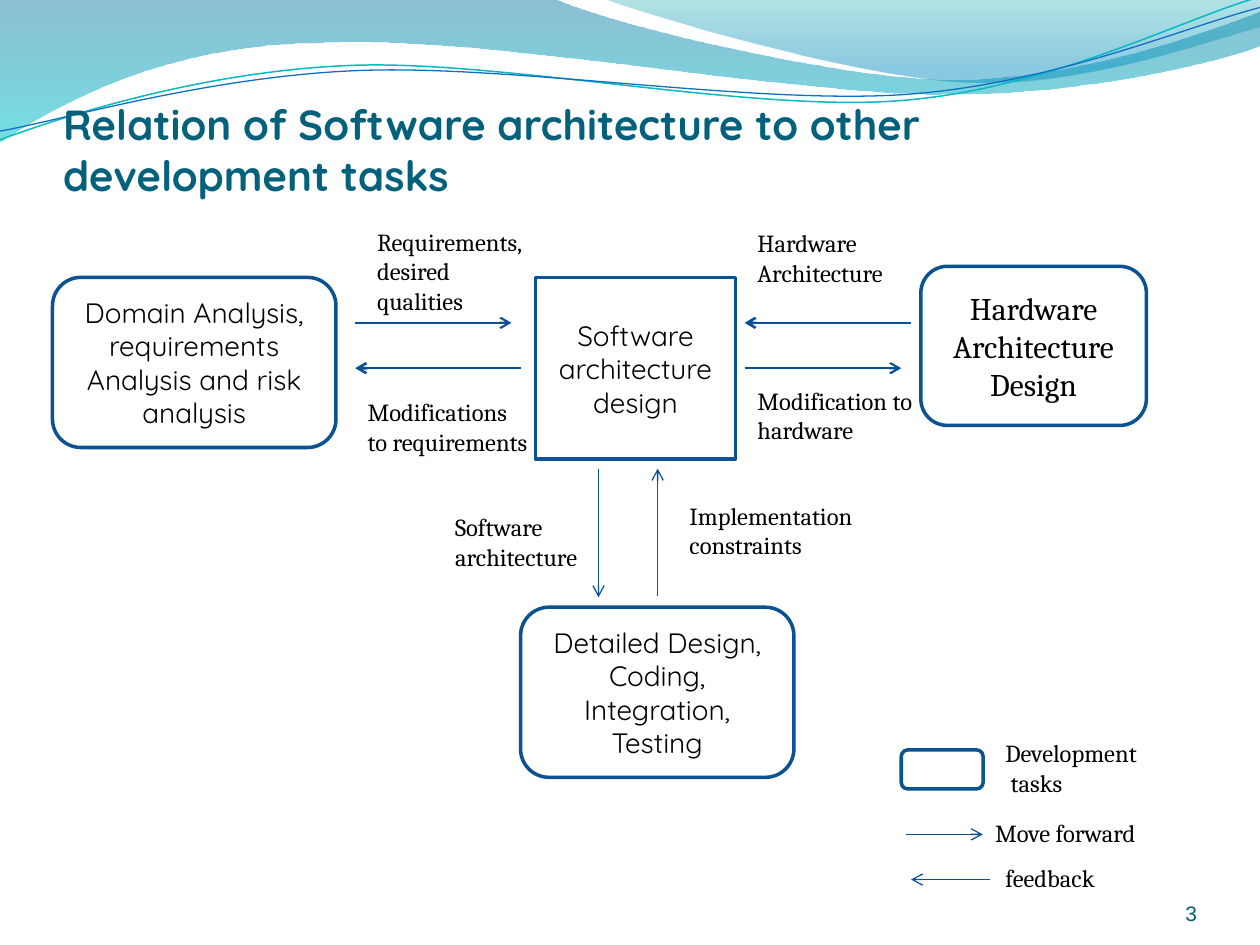
from lxml import etree
from pptx import Presentation
from pptx.dml.color import RGBColor
from pptx.enum.shapes import MSO_CONNECTOR, MSO_SHAPE
from pptx.enum.text import MSO_ANCHOR, MSO_AUTO_SIZE, PP_ALIGN
from pptx.oxml.ns import qn
from pptx.util import Pt

RECT, ROUND = MSO_SHAPE.RECTANGLE, MSO_SHAPE.ROUNDED_RECTANGLE
STRAIGHT = MSO_CONNECTOR.STRAIGHT
TOP, MIDDLE, BOTTOM = MSO_ANCHOR.TOP, MSO_ANCHOR.MIDDLE, MSO_ANCHOR.BOTTOM
LEFT, CENTER, RIGHT = PP_ALIGN.LEFT, PP_ALIGN.CENTER, PP_ALIGN.RIGHT

TITLE_COLOR = RGBColor(0x04, 0x61, 0x7B)
NUMBER_COLOR = RGBColor(0x04, 0x5D, 0x75)
BLACK = RGBColor(0, 0, 0)
BOX_LINE = RGBColor(0x0B, 0x52, 0x92)
ARROW_LINE = RGBColor(0x09, 0x52, 0x95)

TITLE = "Relation of Software architecture to other development tasks"

# Header waves: start, then segments (one point = line, three = Bezier curve)
WAVES = [
    ((0, -0.7), [[(316.8, -0.7)],
                 [(342.7, 12.2), (478.1, 45.4), (545.8, 45.4)],
                 [(614.2, 45.4), (689.8, 18.7), (720, 6.5)],
                 [(720.7, 25.9)],
                 [(707.8, 31.7), (626.4, 54.7), (537.1, 54)],
                 [(447.8, 54), (275, 20.2), (185, 24.5)],
                 [(92.9, 25.2), (33.1, 59.8), (-0.7, 81.4)]],
     [(0, RGBColor(0x00, 0x74, 0xA1), 45), (1, RGBColor(0x00, 0xC6, 0xCF), 55)]),
    ((344.9, -0.7), [[(366.5, 7.9), (491, 44.6), (553.7, 46.8)],
                     [(616.3, 49.7), (691.9, 23), (720, 15.1)],
                     [(720, 0)]],
     [(0, RGBColor(0x00, 0xA1, 0xA9), 30), (0.8, RGBColor(0x00, 0x8B, 0xBF), 45)]),
]
WAVE_ROTATION = 357.3
WAVE_LINES = [
    ((-1.4, 62.9), [[(33.7, 51.7), (114.1, 29.4), (199.8, 29.9)],
                    [(284.8, 30.3), (425.9, 67.3), (512.5, 64.8)],
                    [(599.1, 62.4), (676.5, 25.7), (720.2, 15.6)]],
     RGBColor(0x0A, 0xB8, 0xBF), 0.85),
    ((-1.1, 57.9), [[(32.9, 53.7), (118.3, 32.5), (204.1, 33)],
                    [(290.6, 33.4), (428.9, 63.1), (515.5, 61.4)],
                    [(601.4, 59.6), (678.4, 30.1), (721.4, 21.3)]],
     RGBColor(0x0F, 0x6F, 0xC6), 0.75),
]

# Boxes: preset, text, font, size, left, top, width, height
BOXES = [
    (ROUND, "Domain Analysis, requirements Analysis and risk analysis",
     "Quicksand", 16, 30, 158.5, 162, 97.2),
    (ROUND, "Detailed Design, Coding, Integration, Testing",
     "Quicksand", 16, 297.5, 347, 156.2, 97.2),
    (RECT, "Software architecture design",
     "Quicksand", 16, 306, 158.7, 114.3, 103.7),
    (ROUND, "Hardware Architecture Design",
     "Cambria", 18, 526.2, 152.2, 128.9, 90.9),
    (ROUND, "", "Cambria", 14, 515, 428.5, 46.8, 22.3),
]

# Labels: text, left, top, width, height
LABELS = [
    ("Requirements, desired qualities", 208.4, 126, 105.8, 44.6),
    ("Modifications to requirements", 203, 223.5, 105.8, 44.6),
    ("Hardware Architecture", 425.8, 127, 105.8, 44.6),
    ("Modification to hardware", 425.8, 217, 105.8, 44.6),
    ("Software architecture", 253, 289.1, 105.8, 44.6),
    ("Implementation constraints", 386.9, 282.8, 123.1, 41),
    ("Development\n tasks", 567.4, 418.3, 122.4, 44.6),
    ("Move forward", 561.6, 463.7, 110.9, 25.9),
    ("feedback", 567.4, 489.6, 87.8, 25.9),
]

# Arrows: from x, from y, to x, to y, line width
FORWARD_Y, BACK_Y = 184.5, 210.4
ARROWS = [
    (203, FORWARD_Y, 292.3, FORWARD_Y, 1.25),
    (297.6, BACK_Y, 203, BACK_Y, 1.5),
    (520.6, FORWARD_Y, 425.5, FORWARD_Y, 1.5),
    (425.5, BACK_Y, 515, BACK_Y, 1.25),
    (342, 267.8, 342, 341.3, 0.75),
    (375.8, 340.6, 375.8, 267.8, 0.75),
    (517.7, 476.8, 561.6, 476.8, 0.75),
    (565.9, 502.6, 520.6, 502.6, 0.75),
]


def place(sp, left, top, width, height):
    sp.left, sp.top, sp.width, sp.height = map(Pt, (left, top, width, height))


def set_text(sp, text, font, size, color, align=LEFT, anchor=TOP, bold=False):
    tf = sp.text_frame
    tf.word_wrap = True
    tf.vertical_anchor = anchor
    tf.text = text
    for p in tf.paragraphs:
        p.alignment = align
        for r in p.runs:
            r.font.name, r.font.size, r.font.bold = font, Pt(size), bold
            r.font.color.rgb = color
    return tf


def set_insets(tf, top=0):
    tf.margin_left = tf.margin_right = tf.margin_bottom = 0
    tf.margin_top = Pt(top)


def add_outline(shapes, start, segments, close):
    """Draw the end points as a freeform, then bend its lines into curves."""
    builder = shapes.build_freeform(Pt(start[0]), Pt(start[1]))
    builder.add_line_segments([tuple(map(Pt, seg[-1])) for seg in segments],
                              close=close)
    sp = builder.convert_to_shape()
    sp.shadow.inherit = False
    lines = list(sp._element.spPr.iter(qn("a:lnTo")))
    for line, seg in zip(lines, segments):
        if len(seg) == 3:
            curve = etree.Element(qn("a:cubicBezTo"))
            for x, y in seg:
                etree.SubElement(curve, qn("a:pt"),
                                 x=str(Pt(x) - sp.left), y=str(Pt(y) - sp.top))
            line.getparent().replace(line, curve)
    return sp


prs = Presentation()
prs.slide_width, prs.slide_height = Pt(720), Pt(540)
slide = prs.slides.add_slide(prs.slide_layouts[5])
shapes = slide.shapes

# Header waves
for start, segments, stops in WAVES:
    sp = add_outline(shapes, start, segments, True)
    sp.line.fill.background()
    sp.fill.gradient()
    sp.fill.gradient_angle = 270
    for stop, (position, color, _) in zip(sp.fill.gradient_stops, stops):
        stop.position, stop.color.rgb = position, color
    for clr, (_, _, opacity) in zip(sp._element.spPr.iter(qn("a:srgbClr")), stops):
        etree.SubElement(clr, qn("a:alpha"), val=str(opacity * 1000))
for start, segments, color, width in WAVE_LINES:
    sp = add_outline(shapes, start, segments, False)
    sp.rotation = WAVE_ROTATION
    sp.fill.background()
    sp.line.color.rgb, sp.line.width = color, Pt(width)

# Title, brought in front of the waves
title = shapes.title
shapes._spTree.append(title._element)
place(title, 36, 51.6, 648, 62.6)
tf = set_text(title, TITLE, "Quicksand", 24, TITLE_COLOR, anchor=BOTTOM, bold=True)
tf.auto_size = MSO_AUTO_SIZE.NONE
set_insets(tf, 3.6)

# Task boxes and the legend box
for preset, text, font, size, *box in BOXES:
    sp = shapes.add_shape(preset, *map(Pt, box))
    sp.shadow.inherit = False
    sp.fill.background()
    sp.line.color.rgb, sp.line.width = BOX_LINE, Pt(2)
    if text:
        set_text(sp, text, font, size, BLACK, CENTER, MIDDLE)

# Arrows
for *ends, width in ARROWS:
    cn = shapes.add_connector(STRAIGHT, *map(Pt, ends))
    cn.line.color.rgb, cn.line.width = ARROW_LINE, Pt(width)
    etree.SubElement(cn.line._get_or_add_ln(), qn("a:tailEnd"), type="arrow")
    etree.SubElement(cn._element.spPr, qn("a:effectLst"))

# Labels
for text, *box in LABELS:
    sp = shapes.add_textbox(*map(Pt, box))
    tf = set_text(sp, text, "Cambria", 14, BLACK)
    tf.auto_size = MSO_AUTO_SIZE.SHAPE_TO_FIT_TEXT

# Slide number
sp = shapes.add_textbox(Pt(624.2), Pt(500.4), Pt(59.8), Pt(28.8))
set_insets(set_text(sp, "3", "Arial", 12, NUMBER_COLOR, RIGHT, BOTTOM))

prs.save("out.pptx")
